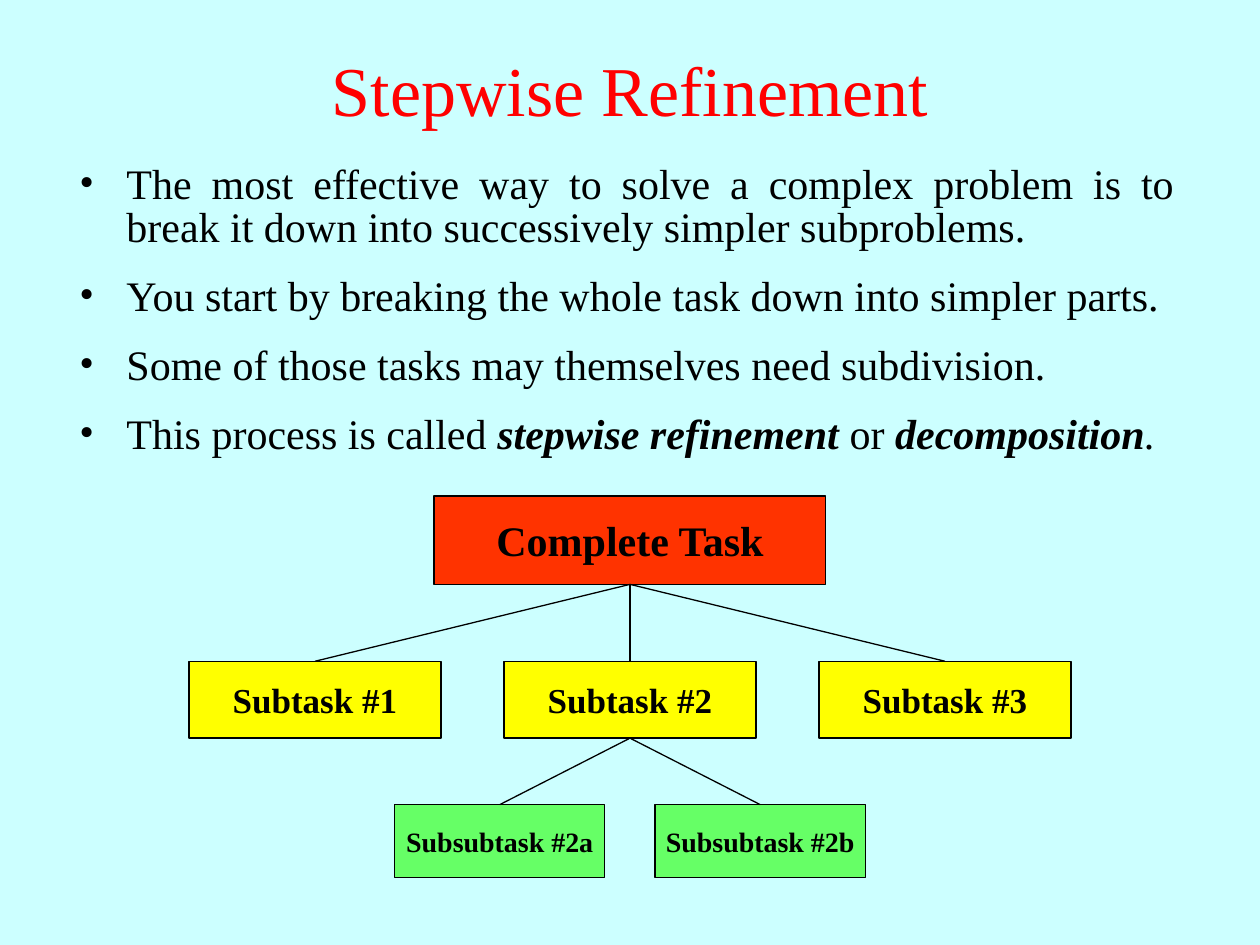
from lxml import etree
from pptx import Presentation
from pptx import util as u
from pptx.dml.color import RGBColor
from pptx.enum import shapes, text
from pptx.oxml import ns

FONT = "Times New Roman"
PALE_CYAN = RGBColor(0xCC, 0xFF, 0xFF)
RED = RGBColor(0xFF, 0x00, 0x00)
ORANGE_RED = RGBColor(0xFF, 0x33, 0x00)
YELLOW = RGBColor(0xFF, 0xFF, 0x00)
GREEN = RGBColor(0x66, 0xFF, 0x66)
BLACK = RGBColor(0x00, 0x00, 0x00)

POINTS = [
    [("The most effective way to solve a complex problem is to break it down "
      "into successively simpler subproblems.", False, False)],
    [("You start by breaking the whole task down into simpler parts.", False, False)],
    [("Some of those tasks may themselves need subdivision.", False, False)],
    [("This process is called ", False, False),
     ("stepwise refinement", True, True),
     (" or ", False, False),
     ("decomposition", True, True),
     (".", False, True)],
]


def add_run(paragraph, wording, size, colour=BLACK, bold=False, italic=False):
    """Append one formatted run to a paragraph."""
    run = paragraph.add_run()
    run.text = wording
    run.font.name = FONT
    run.font.size = u.Pt(size)
    run.font.color.rgb = colour
    run.font.bold = bold
    run.font.italic = italic


def place_title(slide, left, top, width, height):
    """Move and format the title placeholder."""
    title = slide.shapes.title
    title.left, title.top, title.width, title.height = left, top, width, height
    frame = title.text_frame
    frame.auto_size = text.MSO_AUTO_SIZE.NONE
    frame.vertical_anchor = text.MSO_ANCHOR.MIDDLE
    heading = frame.paragraphs[0]
    heading.alignment = text.PP_ALIGN.CENTER
    add_run(heading, "Stepwise Refinement", 40, RED)


def add_bullet(paragraph, indent):
    """Give a paragraph a round bullet with a hanging indent."""
    properties = paragraph._p.get_or_add_pPr()
    properties.set("marL", str(indent))
    properties.set("indent", str(-indent))
    etree.SubElement(properties, ns.qn("a:buFont"), typeface=FONT)
    etree.SubElement(properties, ns.qn("a:buChar"), char="•")


def place_points(slide, left, top, width, height):
    """Write the bulleted explanation in the given box."""
    frame = slide.shapes.add_textbox(left, top, width, height).text_frame
    frame.word_wrap = True
    for index, runs in enumerate(POINTS):
        point = frame.add_paragraph() if index else frame.paragraphs[0]
        add_bullet(point, u.Cm(0.95))
        point.alignment = text.PP_ALIGN.JUSTIFY
        point.line_spacing = 0.85
        point.space_after = u.Pt(15)
        for wording, bold, italic in runs:
            add_run(point, wording, 24, bold=bold, italic=italic)


def add_task(slide, label, size, colour, left, top, width, height):
    """Draw one labelled task box."""
    task = slide.shapes.add_shape(shapes.MSO_SHAPE.RECTANGLE, left, top, width, height)
    task.shadow.inherit = False
    task.fill.solid()
    task.fill.fore_color.rgb = colour
    task.line.color.rgb = BLACK
    task.line.width = u.Pt(0.75)
    frame = task.text_frame
    frame.word_wrap = False
    frame.vertical_anchor = text.MSO_ANCHOR.MIDDLE
    frame.paragraphs[0].alignment = text.PP_ALIGN.CENTER
    add_run(frame.paragraphs[0], label, size, bold=True)
    return task


def add_level(slide, labels, size, colour, centre, top, width, height, pitch):
    """Draw a row of tasks spread evenly about a centre."""
    first = centre - width // 2 - pitch * (len(labels) - 1) // 2
    return [add_task(slide, label, size, colour, first + index * pitch, top, width, height)
            for index, label in enumerate(labels)]


def link_tasks(slide, parent, children):
    """Join the bottom of a task to the top of each of its parts."""
    for child in children:
        link = slide.shapes.add_connector(shapes.MSO_CONNECTOR.STRAIGHT, 0, 0, 0, 0)
        link.begin_connect(parent, 2)
        link.end_connect(child, 0)
        link.line.color.rgb = BLACK
        link.line.width = u.Pt(0.75)
        etree.SubElement(link._element.spPr, ns.qn("a:effectLst"))


def place_task_tree(slide, left, top, width):
    """Draw the three levels of tasks centred in the given width."""
    centre = left + width // 2
    whole = add_level(slide, ["Complete Task"], 24, ORANGE_RED, centre, top,
                      u.Cm(7.9), u.Cm(1.78), 0)
    subtasks = add_level(slide, [f"Subtask #{number}" for number in (1, 2, 3)], 20, YELLOW,
                         centre, top + u.Cm(3.33), u.Cm(5.08), u.Cm(1.55), u.Cm(6.35))
    subsubtasks = add_level(slide, [f"Subsubtask #2{letter}" for letter in "ab"], 16, GREEN,
                            centre, top + u.Cm(6.22), u.Cm(4.24), u.Cm(1.47), u.Cm(5.25))
    link_tasks(slide, whole[0], subtasks)
    link_tasks(slide, subtasks[1], subsubtasks)


def main():
    """Build and save the slide."""
    deck = Presentation()
    deck.slide_width, deck.slide_height = u.Cm(25.4), u.Cm(19.05)
    slide = deck.slides.add_slide(deck.slide_layouts[5])
    slide.background.fill.solid()
    slide.background.fill.fore_color.rgb = PALE_CYAN
    place_title(slide, 0, u.Cm(0.2), deck.slide_width, u.Cm(3.18))
    place_points(slide, u.Cm(1.35), u.Cm(3.2), u.Cm(22.58), u.Cm(6.73))
    place_task_tree(slide, u.Cm(3.81), u.Cm(10), u.Cm(17.78))
    deck.save("out.pptx")


if __name__ == "__main__":
    main()
